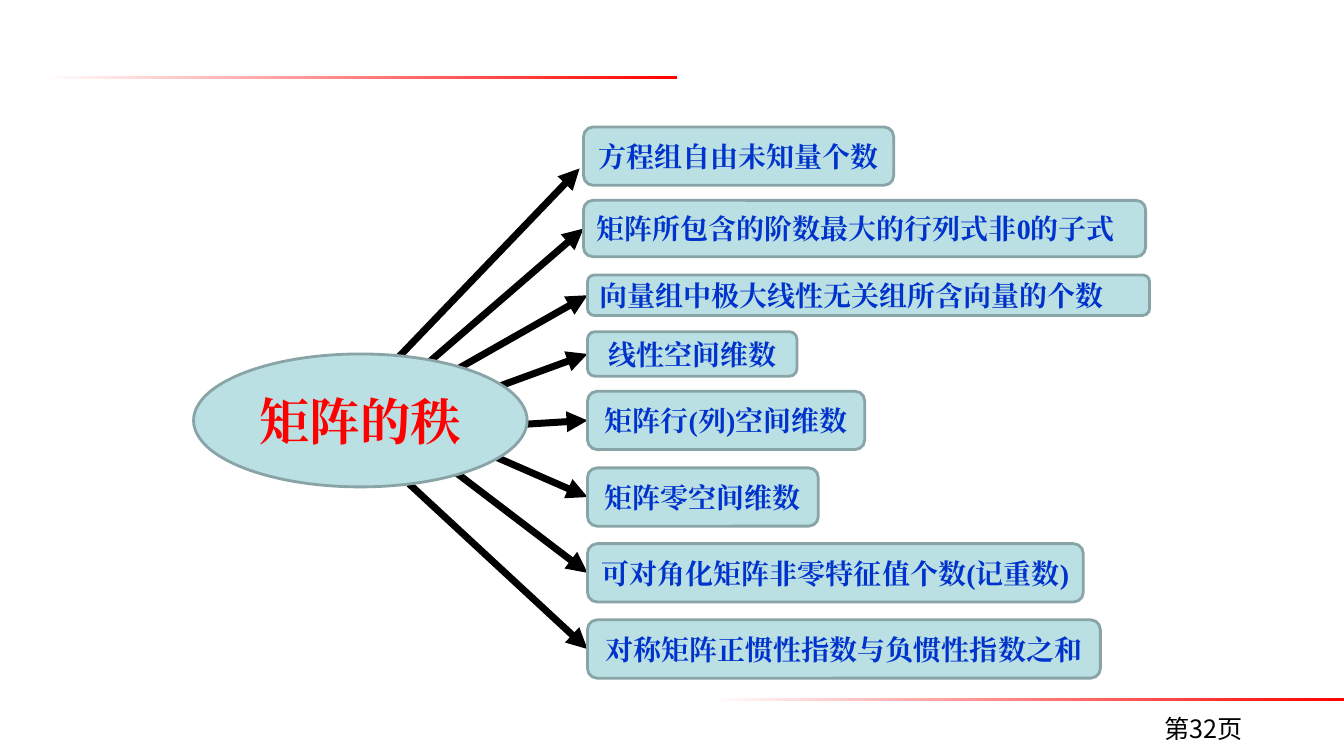
from dataclasses import dataclass

from pptx import Presentation
from pptx.dml.color import RGBColor
from pptx.enum.shapes import MSO_CONNECTOR, MSO_SHAPE
from pptx.enum.text import MSO_ANCHOR, PP_ALIGN
from pptx.oxml.ns import qn
from pptx.util import Cm, Pt
from lxml import etree

ROUNDED, OVAL, RECTANGLE = MSO_SHAPE.ROUNDED_RECTANGLE, MSO_SHAPE.OVAL, MSO_SHAPE.RECTANGLE
STRAIGHT = MSO_CONNECTOR.STRAIGHT
LEFT, CENTER = PP_ALIGN.LEFT, PP_ALIGN.CENTER
TOP, MIDDLE = MSO_ANCHOR.TOP, MSO_ANCHOR.MIDDLE


@dataclass(frozen=True)
class Theme:
    node_fill: str = "BBE0E3"
    node_line: str = "89A4A7"
    meaning_text: str = "0033CC"
    accent: str = "FF0000"
    paper: str = "FFFFFF"
    ink: str = "000000"
    node_font: str = "Times New Roman"
    page_font: str = "Noto Sans CJK SC"
    topic_size: int = 36
    meaning_size: int = 20
    page_size: int = 18
    node_line_width: int = 2
    arrow_width: int = 5


@dataclass(frozen=True)
class Meaning:
    """One equivalent meaning of the rank; lengths in centimetres."""
    text: str
    left: float
    top: float
    width: float
    height: float
    arrow_start: tuple
    tip_shift: tuple = (0, 0)
    alignment: PP_ALIGN = CENTER


MEANINGS = [
    Meaning("方程组自由未知量个数", 14.71, 3.2, 7.82, 1.47, (9.96, 9.09), tip_shift=(-0.1, 0.31)),
    Meaning("矩阵所包含的阶数最大的行列式非0的子式", 14.71, 5.05, 14.17, 1.42, (10.59, 9.32),
            alignment=LEFT),
    Meaning("向量组中极大线性无关组所含向量的个数", 14.81, 6.93, 14.17, 1.02, (11.23, 9.47),
            alignment=LEFT),
    Meaning("线性空间维数", 14.81, 8.36, 5.28, 1.12, (11.63, 10.08)),
    Meaning("矩阵行(列)空间维数", 14.81, 9.86, 6.99, 1.47, (11.43, 10.8)),
    Meaning("矩阵零空间维数", 14.81, 11.79, 5.82, 1.47, (11.84, 11.23)),
    Meaning("可对角化矩阵非零特征值个数(记重数)", 14.81, 13.7, 12.5, 1.47, (11.43, 11.86)),
    Meaning("对称矩阵正惯性指数与负惯性指数之和", 14.81, 15.62, 12.93, 1.47, (10.31, 12.19)),
]


class SlideBuilder:
    def __init__(self, slide, theme):
        self.slide = slide
        self.theme = theme

    def set_text(self, shape, text, size, color, font_name, bold=False, alignment=CENTER,
                 anchor=MIDDLE):
        frame = shape.text_frame
        frame.text = text
        frame.word_wrap = True
        frame.vertical_anchor = anchor
        paragraph = frame.paragraphs[0]
        paragraph.alignment = alignment
        for run in paragraph.runs:
            run.font.size = Pt(size)
            run.font.bold = bold
            run.font.name = font_name
            run.font.color.rgb = RGBColor.from_string(color)
            east_asian = etree.SubElement(run._r.get_or_add_rPr(), qn("a:ea"))
            east_asian.set("typeface", font_name)

    def rule(self, left, top, width, height):
        shape = self.slide.shapes.add_shape(RECTANGLE, Cm(left), Cm(top), Cm(width), Cm(height))
        shape.shadow.inherit = False
        shape.line.fill.background()
        shape.fill.gradient()
        shape.fill.gradient_angle = 0
        for stop, color in zip(shape.fill.gradient_stops, (self.theme.paper, self.theme.accent)):
            stop.color.rgb = RGBColor.from_string(color)

    def node(self, preset, left, top, width, height, text, size, color, alignment=CENTER):
        shape = self.slide.shapes.add_shape(preset, Cm(left), Cm(top), Cm(width), Cm(height))
        shape.shadow.inherit = False
        shape.fill.solid()
        shape.fill.fore_color.rgb = RGBColor.from_string(self.theme.node_fill)
        shape.line.color.rgb = RGBColor.from_string(self.theme.node_line)
        shape.line.width = Pt(self.theme.node_line_width)
        self.set_text(shape, text, size, color, self.theme.node_font, True, alignment)

    def arrow(self, start, tip):
        connector = self.slide.shapes.add_connector(
            STRAIGHT, *(Cm(length) for length in (*start, *tip)))
        connector.line.color.rgb = RGBColor.from_string(self.theme.ink)
        connector.line.width = Pt(self.theme.arrow_width)
        properties = connector._element.spPr
        etree.SubElement(properties.find(qn("a:ln")), qn("a:tailEnd")).set("type", "triangle")
        etree.SubElement(properties, qn("a:effectLst"))

    def meaning(self, item):
        shift_x, shift_y = item.tip_shift
        self.arrow(item.arrow_start,
                   (item.left + shift_x, item.top + item.height / 2 + shift_y))
        self.node(ROUNDED, item.left, item.top, item.width, item.height, item.text,
                  self.theme.meaning_size, self.theme.meaning_text, item.alignment)

    def page_label(self, left, top, width, height, text):
        box = self.slide.shapes.add_textbox(Cm(left), Cm(top), Cm(width), Cm(height))
        self.set_text(box, text, self.theme.page_size, self.theme.ink, self.theme.page_font,
                      anchor=TOP)


def main():
    presentation = Presentation()
    presentation.slide_width = Cm(33.88)
    presentation.slide_height = Cm(19.05)
    theme = Theme()
    blank_layout = presentation.slide_layouts[6]
    builder = SlideBuilder(presentation.slides.add_slide(blank_layout), theme)

    # Header and footer rules, page number
    builder.rule(1.07, 1.91, 16, 0.08)
    builder.rule(17.88, 17.58, 16, 0.08)
    builder.page_label(28.22, 17.86, 4.24, 1.32, "第32页")

    # Meanings with their arrows, then the topic above the arrow starts
    for item in MEANINGS:
        builder.meaning(item)
    builder.node(OVAL, 4.88, 8.92, 8.41, 3.35, "矩阵的秩", theme.topic_size, theme.accent)

    presentation.save("out.pptx")


if __name__ == "__main__":
    main()
